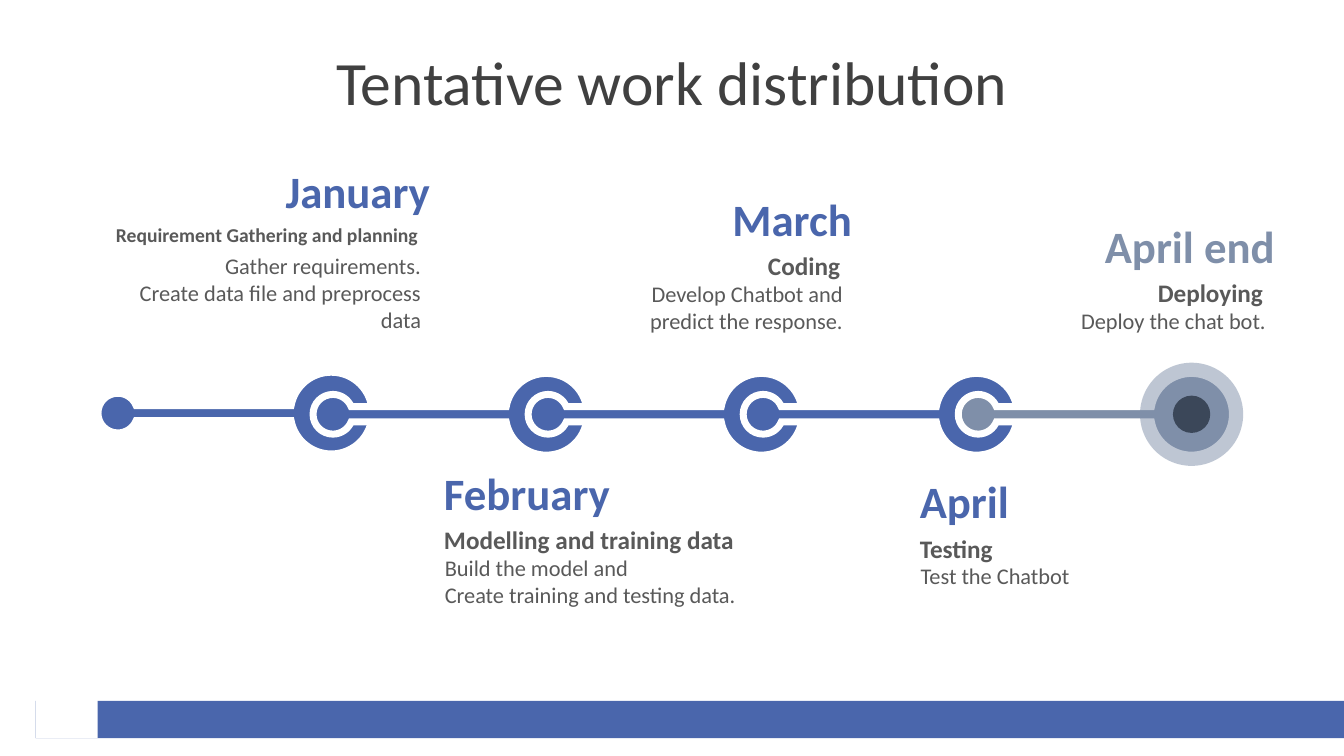
import math

import pptx
import pptx.dml.color
import pptx.enum.shapes
import pptx.enum.text
import pptx.oxml
import pptx.oxml.ns
import pptx.util
from pptx.util import Cm

COLORS = {
    "blue": "4A66AC",
    "slate": "7F8FA9",
    "navy": "3B4759",
    "title": "404040",
    "text": "595959",
    "white": "FFFFFF",
}
FONT = "Calibri"
RIGHT = pptx.enum.text.PP_ALIGN.RIGHT
LEFT = pptx.enum.text.PP_ALIGN.LEFT
CENTER = pptx.enum.text.PP_ALIGN.CENTER
RECTANGLE = pptx.enum.shapes.MSO_SHAPE.RECTANGLE
OVAL = pptx.enum.shapes.MSO_SHAPE.OVAL

# Timeline geometry in centimetres
LINK_LEFT, LINK_STEP = 2.47, 5.42
AXIS_Y, FIRST_AXIS_Y = 10.44, 10.41
DOT_RADIUS, NODE_RADIUS, BAR_HALF = 0.5, 1.03, 0.19
NODE_OFFSET = 5.88
LINK_COLORS = ["blue"] * 4 + ["slate"]

# Month, heading, heading size and height, body lines, left, top, width, alignment, colour
STAGES = [
    ("January", "Requirement Gathering and planning", 14, 1.45,
     ["Gather requirements.", "Create data file and preprocess data"],
     2.56, 4.13, 8.28, RIGHT, "blue"),
    ("March", "Coding", 18, 1.02, ["Develop Chatbot and predict the response."],
     15.93, 4.83, 5.54, RIGHT, "blue"),
    ("April", "Testing", 18, 1.02, ["Test the Chatbot"],
     22.88, 11.94, 5.44, LEFT, "blue"),
    ("April end", "Deploying", 18, 1.02, ["Deploy the chat bot."],
     26.59, 5.51, 5.54, RIGHT, "slate"),
    ("February", "Modelling and training data", 18, 1.8,
     ["Build the model and", "Create training and testing data."],
     10.89, 11.73, 8.48, LEFT, "blue"),
]


def rgb(name):
    return pptx.dml.color.RGBColor.from_string(COLORS[name])


def write_text(text_frame, lines, *, size, color="text", bold=False, align=LEFT,
               insets=(0.25, 0.13, 0.25, 0.13), space_before=0):
    text_frame.word_wrap = True
    (text_frame.margin_left, text_frame.margin_top,
     text_frame.margin_right, text_frame.margin_bottom) = map(Cm, insets)
    for index, line in enumerate(lines):
        paragraph = text_frame.add_paragraph() if index else text_frame.paragraphs[0]
        paragraph.alignment = align
        paragraph.space_before = pptx.util.Pt(space_before)
        run = paragraph.add_run()
        run.text = line
        run.font.name = FONT
        run.font.size = pptx.util.Pt(size)
        run.font.bold = bold
        run.font.color.rgb = rgb(color)


def add_text(slide, lines, left, top, width, height, **text_format):
    text_box = slide.shapes.add_textbox(Cm(left), Cm(top), Cm(width), Cm(height))
    write_text(text_box.text_frame, lines, **text_format)


def paint(shape, color, alpha=None):
    """Give the shape a plain fill with no line or shadow; alpha is in percent."""
    shape.shadow.inherit = False
    shape.fill.solid()
    shape.fill.fore_color.rgb = rgb(color)
    shape.line.fill.background()
    if alpha is not None:
        color_element = shape.fill._xPr.find(".//" + pptx.oxml.ns.qn("a:srgbClr"))
        color_element.append(pptx.oxml.parse_xml(
            f'<a:alpha {pptx.oxml.ns.nsdecls("a")} val="{alpha * 1000}"/>'))


def add_shape(slide, preset, left, top, width, height, color, alpha=None):
    shape = slide.shapes.add_shape(preset, Cm(left), Cm(top), Cm(width), Cm(height))
    paint(shape, color, alpha)


def add_circle(slide, center_x, center_y, radius, color, alpha=None):
    add_shape(slide, OVAL, center_x - radius, center_y - radius,
              2 * radius, 2 * radius, color, alpha)


def arc_curves(center_x, center_y, radius, angles):
    """Return one Bézier curve (three points) for each pair of neighbouring angles."""
    def point(angle, pull=0):
        x = center_x + radius * (math.cos(angle) - pull * math.sin(angle))
        y = center_y + radius * (math.sin(angle) + pull * math.cos(angle))
        return Cm(x), Cm(y)

    curves = []
    for start, end in zip(angles, angles[1:]):
        pull = 4 / 3 * math.tan((end - start) / 4)
        curves.append([point(start, pull), point(end, -pull), point(end)])
    return curves


def build_outline(slide, start, segments):
    """Build a closed outline; a segment of three points is a curve, of one a line."""
    builder = slide.shapes.build_freeform(*start)
    builder.add_line_segments([point for segment in segments for point in segment])
    shape = builder.convert_to_shape()
    line_elements = iter(list(shape._element.iter(pptx.oxml.ns.qn("a:lnTo"))))
    for segment in segments:
        elements = [next(line_elements) for _ in segment]
        if len(elements) == 3:
            curve = pptx.oxml.parse_xml(
                f'<a:cubicBezTo {pptx.oxml.ns.nsdecls("a")}/>')
            elements[0].addprevious(curve)
            for element in elements:
                curve.append(element[0])
                element.getparent().remove(element)
    return shape


def add_link(slide, left, center_y, color):
    """Draw a small dot joined by a bar to a large node, as one outline."""
    node_x, dot_x = left + NODE_OFFSET, left + DOT_RADIUS
    quarter, half = math.pi / 2, math.pi
    node_gap = math.asin(BAR_HALF / NODE_RADIUS)
    dot_gap = math.asin(BAR_HALF / DOT_RADIUS)
    dot_edge = Cm(dot_x + DOT_RADIUS * math.cos(dot_gap))
    node_edge = Cm(node_x - NODE_RADIUS * math.cos(node_gap))
    segments = [
        *arc_curves(node_x, center_y, NODE_RADIUS,
                    [-quarter, 0, quarter, half - node_gap]),
        [(dot_edge, Cm(center_y + BAR_HALF))],
        *arc_curves(dot_x, center_y, DOT_RADIUS,
                    [dot_gap, quarter, half, 3 * quarter, 2 * half - dot_gap]),
        [(node_edge, Cm(center_y - BAR_HALF))],
        *arc_curves(node_x, center_y, NODE_RADIUS, [half + node_gap, 3 * quarter]),
    ]
    link = build_outline(slide, (Cm(node_x), Cm(center_y - NODE_RADIUS)), segments)
    paint(link, color)
    link.line.color.rgb = rgb("white")
    link.line.width = pptx.util.Pt(5)
    link.line._get_or_add_ln().append(pptx.oxml.parse_xml(
        f'<a:miter {pptx.oxml.ns.nsdecls("a")} lim="800000"/>'))


def add_timeline(slide):
    for index, color in enumerate(LINK_COLORS):
        center_y = AXIS_Y if index else FIRST_AXIS_Y
        add_link(slide, LINK_LEFT + index * LINK_STEP, center_y, color)
    end_x = LINK_LEFT + (len(LINK_COLORS) - 1) * LINK_STEP + NODE_OFFSET
    add_circle(slide, end_x, AXIS_Y, 1.3, "slate", alpha=50)
    add_circle(slide, end_x, AXIS_Y, 0.47, "navy")


def add_stage(slide, month, heading, heading_size, heading_height, body,
              left, top, width, align, color):
    body_lines = 2 if month == "March" else len(body)
    add_text(slide, body, left + 0.07, top + 2.1, width - 0.05,
             0.25 + 0.68 * body_lines, size=16, align=align)
    add_text(slide, [heading], left, top + 1.36, width, heading_height,
             size=heading_size, bold=True, align=align, insets=(0.3, 0.13, 0.3, 0.13))
    add_text(slide, [month], left, top, width, 1.37, size=32, color=color,
             bold=True, align=align, insets=(0.3, 0, 0, 0))


def set_title(slide, text):
    title = slide.shapes.title
    title.left, title.top, title.width, title.height = map(Cm, (0, 0.94, 33.87, 2.2))
    title.text_frame.vertical_anchor = pptx.enum.text.MSO_ANCHOR.MIDDLE
    write_text(title.text_frame, [text], size=44, color="title", align=CENTER,
               space_before=10)


def main():
    presentation = pptx.Presentation()
    presentation.slide_width = Cm(33.87)
    presentation.slide_height = Cm(19.05)
    slide = presentation.slides.add_slide(presentation.slide_layouts[5])
    add_shape(slide, RECTANGLE, 0.9, 17.66, 32.97, 0.94, "blue")
    add_shape(slide, RECTANGLE, 0.9, 17.63, 1.56, 0.97, "white")
    set_title(slide, "Tentative work distribution")
    add_timeline(slide)
    for stage in STAGES:
        add_stage(slide, *stage)
    presentation.save("out.pptx")


if __name__ == "__main__":
    main()
